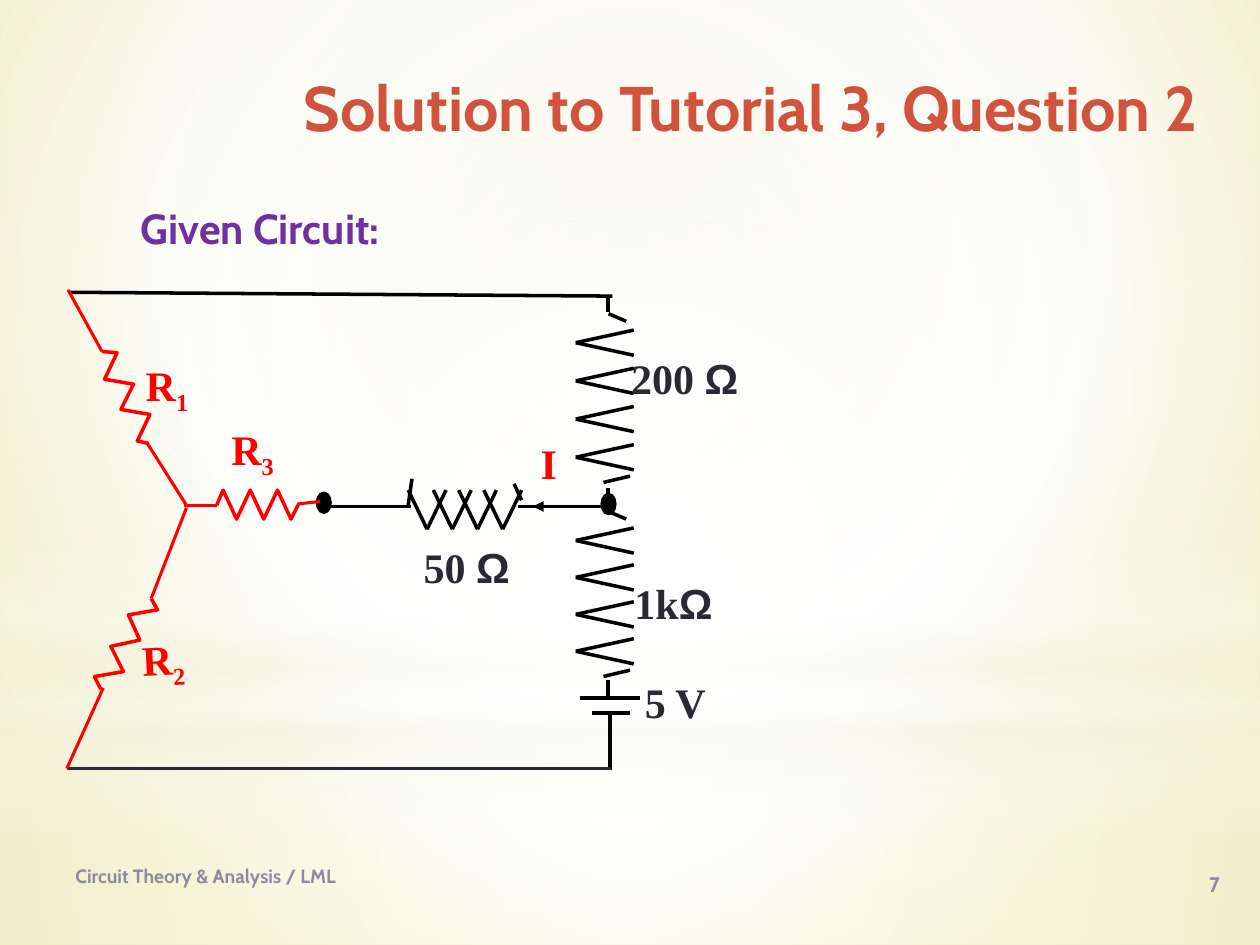
from dataclasses import dataclass
from lxml import etree
from pptx import Presentation
from pptx import util as u
from pptx.dml import color
from pptx.enum import shapes, text
from pptx.oxml import ns


@dataclass(frozen=True)
class Theme:
    title: str = "D2533C"
    heading: str = "7030A0"
    muted: str = "8A8AA3"
    ink: str = "292934"
    wire: str = "000000"
    delta: str = "FF0000"
    sans: str = "Cabin"
    serif: str = "Times New Roman"
    symbol: str = "Arial"
    title_size: int = 36
    label_size: int = 24
    footer_size: int = 11
    number_size: int = 12
    stroke: float = 2
    lead: float = 1.75


THEME = Theme()
COLUMNS, ROWS = 100, 75
CELL = u.Inches(10) // COLUMNS

PAGE_GLOW = ([(0, "EFEDCC", 100), (60, "FFFFFF", 100), (100, "E9E58A", 100)], (20, 10, 20, 60))
CENTRE = (50, 50, 50, 50)
GLOWS = [
    ("RECTANGLE", (0, 55.8, 100, 19.2),
     [(0, "FFFFFF", 91), (37, "FFFFFF", 76), (100, "F3F2DC", 79)], CENTRE),
    ("RECTANGLE", (0, 0, 100, 55.8),
     [(0, "FFFFFF", 89), (48, "FFFFFF", 62), (100, "F3F2DC", 79)], CENTRE),
    ("RECTANGLE", (0, 41.7, 100, 25),
     [(0, "FFFFFF", 0), (29, "FFFFFF", 30), (45, "F3F2DC", 40),
      (55, "FFFFFF", 26), (65, "F3F2DC", 60), (100, "FFFFFF", 0)], None),
    ("OVAL", (0, 17.5, 100, 55.8), [(0, "FFFFFF", 100), (56, "FFFFFF", 0)], CENTRE),
]

TITLE = ("Solution to Tutorial 3, Question 2", (13.5, 4.9, 85, 9.2))
CAPTIONS = [
    ("Given Circuit:", (10.2, 15.6, 27.2, 5), THEME.label_size, THEME.heading, "LEFT", "TOP"),
    ("Circuit Theory & Analysis / LML", (5, 67.5, 36.7, 4), THEME.footer_size, THEME.muted,
     "LEFT", "MIDDLE"),
    ("7", (77.8, 68.2, 20, 4), THEME.number_size, THEME.muted, "RIGHT", "MIDDLE"),
]
LABELS = [
    ("R", "1", "", (9.7, 28.5, 7.1, 3.8), THEME.delta, 0),
    ("R", "2", "", (9.4, 50.3, 7.1, 3.8), THEME.delta, -2.9),
    ("R", "3", "", (16.5, 33.6, 7.1, 3.8), THEME.delta, 0),
    ("I", "", "", (42.2, 34.7, 2.7, 5.3), THEME.delta, 0),
    ("50 ", "", "Ω", (33, 43, 8.1, 5.5), THEME.ink, 0),
    ("200 ", "", "Ω", (49.5, 28, 9.7, 5.5), THEME.ink, 0),
    ("1k", "", "Ω", (49.9, 45.8, 7.1, 5.5), THEME.ink, 0),
    ("5 V", "", "", (50.6, 53.7, 6, 5.5), THEME.ink, 0),
]

WIRES = [
    (5.5, 23.2, 48.6, 23.5), (25.6, 40.2, 32.6, 40.2), (41.1, 40.2, 48.4, 40.2),
    (48.25, 23.4, 48.25, 24.8), (48.25, 38.7, 48.25, 40.8),
    (48.25, 54, 48.25, 55.3), (46, 55.4, 50.8, 55.4), (47, 56.6, 50, 56.6),
    (48.4, 56.6, 48.4, 61.1),
]
GROUND = (5.3, 61, 48.5, 61)
CURRENT = (47.4, 40.2, 42.3, 40.2)
DELTA_LEADS = [
    (5.4, 23, 8.1, 27.9), (11.7, 35.2, 14.8, 40.1), (14.8, 40.3, 12, 47.5),
    (8.2, 54.6, 5.3, 61), (14.6, 40.1, 17.2, 40.1), (23.6, 40, 25.4, 39.8),
]
DELTA_RESISTORS = [
    [(8.1, 27.9), (9.3, 28), (8.3, 30.1), (10.6, 30.5), (9.6, 32.5), (11.9, 32.9),
     (10.9, 35), (11.8, 35.2)],
    [(12, 47.5), (12.5, 48.4), (10.2, 48.8), (11.1, 50.8), (8.8, 51.3), (9.8, 53.3),
     (7.5, 53.7), (8, 54.7)],
    [(17.2, 40.1)] + [(17.7 + 1.08 * i, 41.2 if i % 2 else 38.9) for i in range(6)]
    + [(23.7, 40)],
]
UPRIGHT_RESISTORS = [(27.2, 3.03), (42.9, 2.93)]
LEVEL_RESISTOR = (33.9, 2)
TURNS = 4
NODES = [(25.7, 39.9), (48.3, 40)]


def grid(*cells):
    return [round(CELL * cell) for cell in cells]


def rgb(code):
    return color.RGBColor.from_string(code)


def add_xml(parent, tag, **attributes):
    child = etree.SubElement(parent, ns.qn(tag))
    for name, value in attributes.items():
        child.set(name, str(value))
    return child


def gradient(owner, stops, focus):
    owner.fill.solid()


def fade(fill, element, stops, focus):
    fill.solid()
    plain = next(element.iter(ns.qn("a:solidFill")))
    blend = etree.Element(ns.qn("a:gradFill"), rotWithShape="1")
    listing = add_xml(blend, "a:gsLst")
    for position, code, opacity in stops:
        stop = add_xml(listing, "a:gs", pos=position * 1000)
        add_xml(add_xml(stop, "a:srgbClr", val=code), "a:alpha", val=opacity * 1000)
    if focus:
        sides = {side: share * 1000 for side, share in zip("ltrb", focus)}
        add_xml(add_xml(blend, "a:path", path="circle"), "a:fillToRect", **sides)
    else:
        add_xml(blend, "a:lin", ang=90 * 60000, scaled=0)
    plain.getparent().replace(plain, blend)


def add_span(para, words, size, code, font):
    span = para.add_run()
    span.text = words
    span.font.size, span.font.bold, span.font.name = u.Pt(size), True, font
    span.font.color.rgb = rgb(code)
    return span


def prepare(box, align, anchor="TOP"):
    frame = box.text_frame
    frame.word_wrap, frame.auto_size = True, text.MSO_AUTO_SIZE.NONE
    frame.vertical_anchor = text.MSO_ANCHOR[anchor]
    para = frame.paragraphs[0]
    para.alignment = text.PP_ALIGN[align]
    return para


def add_label(page, words, subscript, unit, area, code, turn):
    box = page.shapes.add_textbox(*grid(*area))
    box.rotation = turn
    para = prepare(box, "CENTER")
    frame = box.text_frame
    frame.margin_left = frame.margin_top = frame.margin_right = frame.margin_bottom = 0
    add_span(para, words, THEME.label_size, code, THEME.serif)
    if subscript:
        span = add_span(para, subscript, THEME.label_size, code, THEME.serif)
        span.font._element.set("baseline", "-25000")
    if unit:
        add_span(para, unit, THEME.label_size, code, THEME.symbol)


def add_wire(page, ends, code=THEME.wire, width=THEME.stroke, arrow=False):
    wire = page.shapes.add_connector(shapes.MSO_CONNECTOR.STRAIGHT, *grid(*ends))
    wire.line.color.rgb, wire.line.width = rgb(code), u.Pt(width)
    if arrow:
        add_xml(wire.line._get_or_add_ln(), "a:tailEnd", type="triangle")
    add_xml(wire._element.spPr, "a:effectLst")


def add_zigzag(page, points):
    first, *rest = [grid(*point) for point in points]
    builder = page.shapes.build_freeform(*first)
    builder.add_line_segments(rest, close=False)
    zigzag = builder.convert_to_shape()
    zigzag.shadow.inherit = False
    zigzag.fill.background()
    zigzag.line.color.rgb, zigzag.line.width = rgb(THEME.delta), u.Pt(THEME.stroke)


def upright_strokes(top, pitch):
    bottom = top + pitch * (TURNS - 1)
    strokes = [(48.3, top - 2.3, 49.7, top - 1.7), (47.9, bottom + 2, 50, bottom + 1.5)]
    for turn in range(TURNS):
        y = top + pitch * turn
        strokes += [(45.7, y, 50.3, y + side) for side in (-1, 1)]
    return strokes


def level_strokes(left, pitch):
    right = left + pitch * (TURNS - 1)
    strokes = [(left - 1.2, 38, left - 1.5, 40.1), (right + 0.9, 38.4, right + 1.5, 39.7)]
    for turn in range(TURNS):
        x = left + pitch * turn
        strokes += [(x, 42, x + side, 38.9) for side in (-1.5, 1.5)]
    return strokes


def main():
    deck = Presentation()
    deck.slide_width, deck.slide_height = grid(COLUMNS, ROWS)
    page = deck.slides.add_slide(deck.slide_layouts[5])
    fade(page.background.fill, page.element, *PAGE_GLOW)
    for kind, area, stops, focus in GLOWS:
        glow = page.shapes.add_shape(shapes.MSO_SHAPE[kind], *grid(*area))
        glow.shadow.inherit = False
        glow.line.fill.background()
        fade(glow.fill, glow.element, stops, focus)

    title = page.shapes.title
    title.left, title.top, title.width, title.height = grid(*TITLE[1])
    page.shapes._spTree.append(title.element)
    para = prepare(title, "RIGHT")
    title.text_frame.margin_right = grid(3.4)[0]
    add_span(para, TITLE[0], THEME.title_size, THEME.title, THEME.sans)
    for words, area, size, code, align, anchor in CAPTIONS:
        box = page.shapes.add_textbox(*grid(*area))
        add_span(prepare(box, align, anchor), words, size, code, THEME.sans)

    strokes = WIRES + level_strokes(*LEVEL_RESISTOR)
    for resistor in UPRIGHT_RESISTORS:
        strokes += upright_strokes(*resistor)
    for ends in strokes:
        add_wire(page, ends)
    add_wire(page, GROUND, THEME.ink)
    add_wire(page, CURRENT, arrow=True)
    for x, y in NODES:
        node = page.shapes.add_shape(shapes.MSO_SHAPE.OVAL, *grid(x - 0.5, y - 0.75, 1, 1.5))
        node.shadow.inherit = False
        node.fill.solid()
        node.fill.fore_color.rgb = node.line.color.rgb = rgb(THEME.wire)
        node.line.width = u.Pt(THEME.stroke)
    for ends in DELTA_LEADS:
        add_wire(page, ends, THEME.delta, THEME.lead)
    for points in DELTA_RESISTORS:
        add_zigzag(page, points)
    for label in LABELS:
        add_label(page, *label)
    deck.save("out.pptx")


if __name__ == "__main__":
    main()
